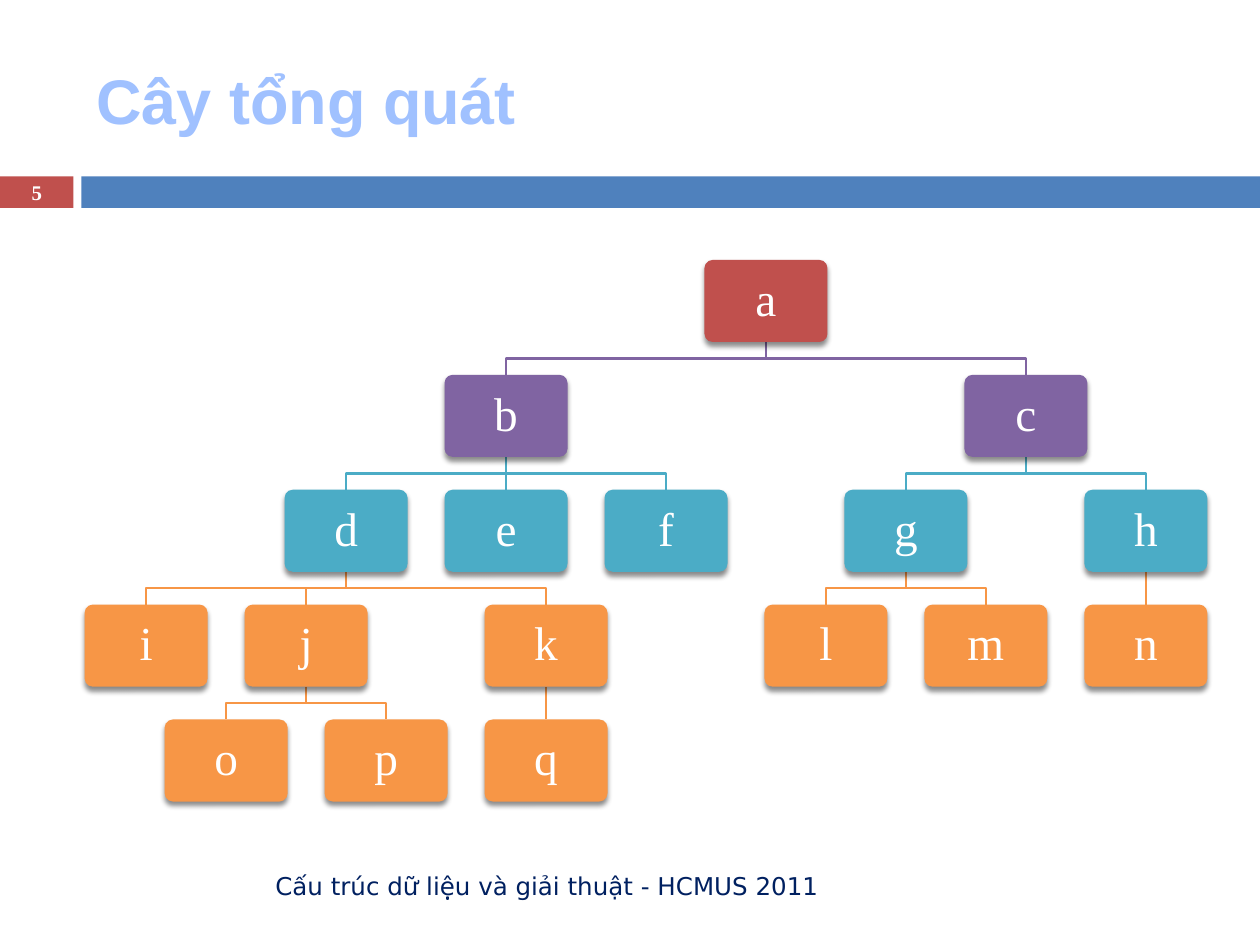
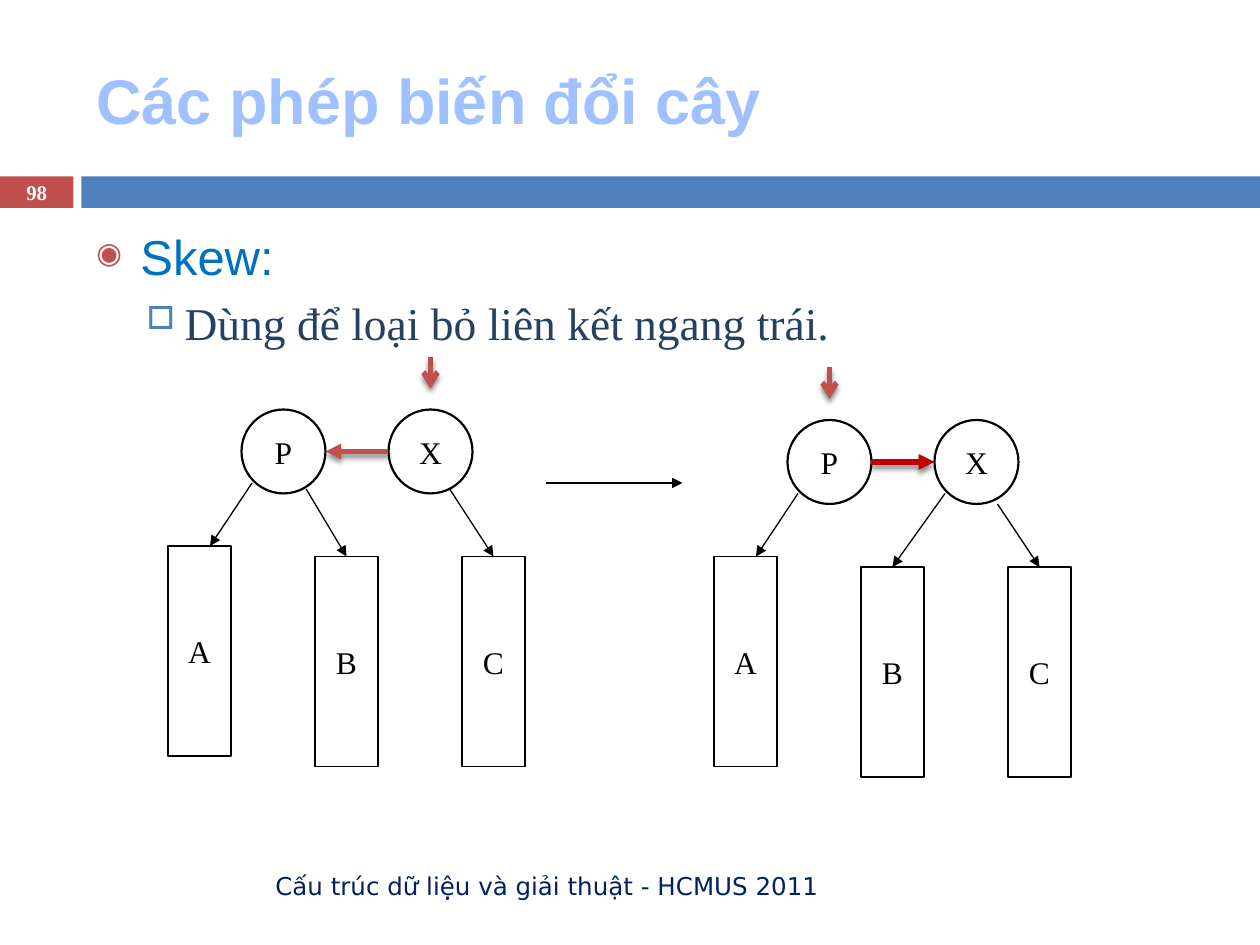
from lxml import etree
from pptx import Presentation
from pptx.dml.color import RGBColor
from pptx.enum import shapes, text
from pptx.oxml import ns
from pptx.util import Pt

RED, BLUE, PURPLE, TEAL, ORANGE = "C0504D", "4F81BD", "8064A2", "4BACC6", "F79646"
DARK_RED, BLACK, WHITE = "C00000", "000000", "FFFFFF"
TITLE_BLUE, FOOTER_BLUE, HEADING_BLUE, BODY_BLUE = "A0C1FF", "002060", "0070C0", "254061"
SANS, SERIF, FOOTER_FONT = "Arial", "Times New Roman", "DejaVu Sans"
FOOTER = "Cấu trúc dữ liệu và giải thuật - HCMUS 2011"
LEFT, CENTER, RIGHT = text.PP_ALIGN.LEFT, text.PP_ALIGN.CENTER, text.PP_ALIGN.RIGHT
SHAPE = shapes.MSO_SHAPE

LEVEL_COLOURS = [RED, PURPLE, TEAL, ORANGE, ORANGE]
CHILDREN = {"a": "bc", "b": "def", "c": "gh", "d": "ijk", "g": "lm", "h": "n", "j": "op", "k": "q"}
LEAF_COLUMNS = {"i": 0, "o": 1, "p": 3, "q": 5, "e": 4.5, "f": 6.5, "l": 8.5, "m": 10.5, "n": 12.5}
NODE_WIDTH, NODE_HEIGHT, COLUMN_STEP, LEVEL_STEP = 70.3, 46.9, 45.7, 65.65


def colour(value):
    """Turn a hex string into a colour."""
    return RGBColor.from_string(value)


def add_xml(parent, tag, **attributes):
    """Append a drawing element with the given attributes."""
    return etree.SubElement(parent, ns.qn(tag), {key: str(value) for key, value in attributes.items()})


def set_shadow(item, visible):
    """Replace the theme shadow with a soft one below, or with none."""
    effects = add_xml(item.element.spPr, "a:effectLst")
    if visible:
        shade = add_xml(effects, "a:outerShdw", blurRad=Pt(3), dist=Pt(2.4), dir=5400000, rotWithShape=0)
        add_xml(add_xml(shade, "a:srgbClr", val=BLACK), "a:alpha", val=45000)


def style_para(para, size, shade, font=SERIF, align=CENTER, bold=False):
    """Format a paragraph and its runs."""
    para.alignment = align
    for span in para.runs:
        span.font.size = Pt(size)
        span.font.name = font
        span.font.bold = bold
        span.font.color.rgb = colour(shade)


def add_label(page, box, words, size, shade, **style):
    """Add a one-line text box, centred vertically."""
    frame = page.shapes.add_textbox(*map(Pt, box)).text_frame
    frame.word_wrap = True
    frame.vertical_anchor = text.MSO_ANCHOR.MIDDLE
    frame.text = words
    style_para(frame.paragraphs[0], size, shade, **style)


def add_block(page, kind, box, fill=None, line=None, weight=0.75, shadow=False):
    """Add a preset shape with optional fill, line and shadow."""
    block = page.shapes.add_shape(kind, *map(Pt, box))
    if fill:
        block.fill.solid()
        block.fill.fore_color.rgb = colour(fill)
    else:
        block.fill.background()
    if line:
        block.line.color.rgb = colour(line)
        block.line.width = Pt(weight)
    else:
        block.line.fill.background()
    set_shadow(block, shadow)
    return block


def label_block(block, words, size, shade):
    """Write centred, unwrapped text in a shape."""
    frame = block.text_frame
    frame.word_wrap = False
    frame.vertical_anchor = text.MSO_ANCHOR.MIDDLE
    frame.text = words
    style_para(frame.paragraphs[0], size, shade)


def add_line(page, start, end, shade=BLACK, weight=0.75, head=None, shadow=False):
    """Add a straight line, with an arrowhead at its end if asked."""
    line = page.shapes.add_connector(shapes.MSO_CONNECTOR.STRAIGHT, *map(Pt, (*start, *end)))
    line.line.color.rgb = colour(shade)
    line.line.width = Pt(weight)
    if head:
        add_xml(line.line._get_or_add_ln(), "a:tailEnd", type=head)
    set_shadow(line, shadow)


def add_frame(deck, title, number):
    """Add a page with its title, bands, number and footer."""
    page = deck.slides.add_slide(deck.slide_layouts[6])
    add_block(page, SHAPE.RECTANGLE, (0, 100.8, 42, 18), RED)
    add_block(page, SHAPE.RECTANGLE, (46.5, 100.8, 673.5, 18), BLUE)
    add_label(page, (48, 18, 642, 78), title, 36, TITLE_BLUE, font=SANS, align=LEFT, bold=True)
    add_label(page, (48, 492, 427, 28.8), FOOTER, 14, FOOTER_BLUE, font=FOOTER_FONT, align=RIGHT)
    add_label(page, (0, 100.3, 42, 19), number, 11.9, WHITE, bold=True)
    return page


def column_of(name):
    """Centre a parent over its first and last child."""
    if name in LEAF_COLUMNS:
        return LEAF_COLUMNS[name]
    family = CHILDREN[name]
    return (column_of(family[0]) + column_of(family[-1])) / 2


def add_branch(page, start, end, shade):
    """Join a parent to a child with a right-angled line."""
    if start[0] == end[0]:
        add_line(page, start, end, shade, 1.5)
        return
    middle = (start[1] + end[1]) / 2
    corners = [(start[0], middle), (end[0], middle), end]
    builder = page.shapes.build_freeform(*map(Pt, start))
    builder.add_line_segments([(Pt(x), Pt(y)) for x, y in corners], close=False)
    branch = builder.convert_to_shape()
    branch.fill.background()
    branch.line.color.rgb = colour(shade)
    branch.line.width = Pt(1.5)
    set_shadow(branch, False)


def add_tree(page, left, top, name="a", level=0):
    """Draw a node and everything below it."""
    x, y = left + column_of(name) * COLUMN_STEP, top + level * LEVEL_STEP
    for child in CHILDREN.get(name, ""):
        end = (left + column_of(child) * COLUMN_STEP + NODE_WIDTH / 2, y + LEVEL_STEP)
        add_branch(page, (x + NODE_WIDTH / 2, y + NODE_HEIGHT), end, LEVEL_COLOURS[level + 1])
        add_tree(page, left, top, child, level + 1)
    node = add_block(page, SHAPE.ROUNDED_RECTANGLE, (x, y, NODE_WIDTH, NODE_HEIGHT),
                     LEVEL_COLOURS[level], shadow=True)
    node.adjustments[0] = 0.1
    label_block(node, name, 27, WHITE)
    node.text_frame.paragraphs[0].line_spacing = 0.9


def add_bullets(page, box, items):
    """Add a bulleted list, one level deeper per item."""
    frame = page.shapes.add_textbox(*map(Pt, box)).text_frame
    frame.word_wrap = True
    for level, (words, size, shade, font, mark, mark_shade, scale, margin, hang, before) in enumerate(items):
        para = frame.add_paragraph() if level else frame.paragraphs[0]
        para.text = words
        para.level = level
        props = para._p.get_or_add_pPr()
        props.set("marL", str(Pt(margin)))
        props.set("indent", str(-Pt(hang)))
        add_xml(add_xml(props, "a:buClr"), "a:srgbClr", val=mark_shade)
        add_xml(props, "a:buSzPct", val=scale * 1000)
        add_xml(props, "a:buChar", char=mark)
        if before:
            para.space_before = Pt(before)
        style_para(para, size, shade, font, LEFT)


def add_skew_state(page, left, top, links, red_link, red_shade, pointer):
    """Draw nodes P and X, subtrees A to C, and their links."""
    def at(x, y):
        """Shift a point into the diagram."""
        return left + x, top + y

    for index, name in enumerate("PX"):
        node = add_block(page, SHAPE.OVAL, (*at(42 + 84 * index, 0), 48, 48), line=BLACK, weight=1.25)
        label_block(node, name, 18, BLACK)
    for index, (name, drop) in enumerate(zip("ABC", (78, 84, 84))):
        subtree = add_block(page, SHAPE.RECTANGLE, (*at(84 * index, drop), 36, 120), line=BLACK)
        label_block(subtree, name, 18, BLACK)
    for start, end in links:
        add_line(page, at(*start), at(*end), head="triangle")
    start, end = red_link
    add_line(page, at(start, 24), at(end, 24), red_shade, 3, "triangle", True)
    add_line(page, at(pointer, -30), at(pointer, -12), RED, 3, "arrow", True)


def build_tree_page(deck):
    """Build the page with the general tree."""
    page = add_frame(deck, "Cây tổng quát", "5")
    add_tree(page, 48.4, 148.5)


def build_skew_page(deck):
    """Build the page with the skew operation."""
    page = add_frame(deck, "Các phép biến đổi cây", "98")
    add_bullets(page, (48, 126, 642, 354), [
        ("Skew:", 28, HEADING_BLUE, SANS, "◉", RED, 60, 25.2, 25.2, 0),
        ("Dùng để loại bỏ liên kết ngang trái.", 26, BODY_BLUE, SERIF, "□", BLUE, 70, 50.4, 21.6, 5.5),
    ])
    outer_link = ((48, 42), (24, 78))
    add_skew_state(page, 96, 234, [outer_link, ((79, 45.5), (102, 84)), ((161, 45.5), (186, 84))],
                   (126, 90), RED, 150)
    add_skew_state(page, 408, 240, [outer_link, ((132, 42), (102, 84)), ((162, 48), (186, 84))],
                   (90, 126), DARK_RED, 66)
    add_line(page, (312, 276), (390, 276), weight=1.25, head="triangle")


def main():
    """Build and save the deck."""
    deck = Presentation()
    deck.slide_width, deck.slide_height = Pt(720), Pt(540)
    build_tree_page(deck)
    build_skew_page(deck)
    deck.save("out.pptx")


if __name__ == "__main__":
    main()
